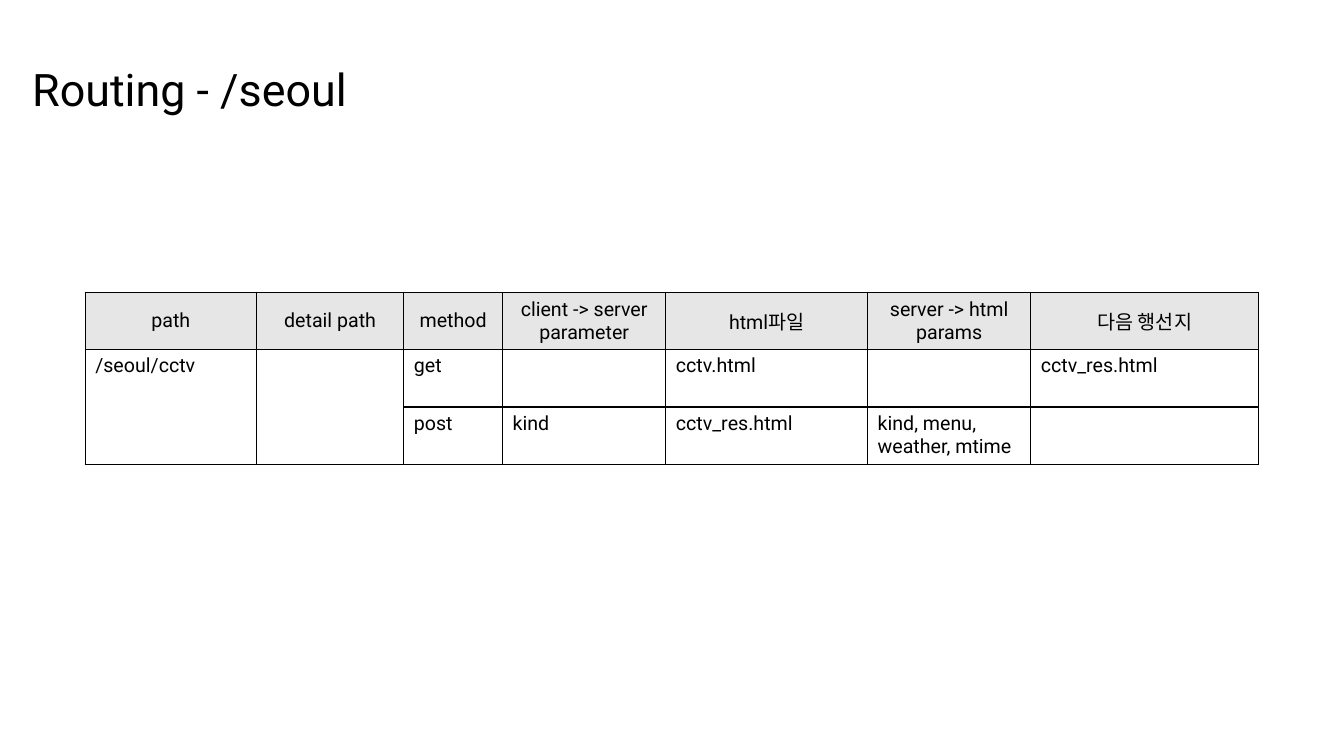
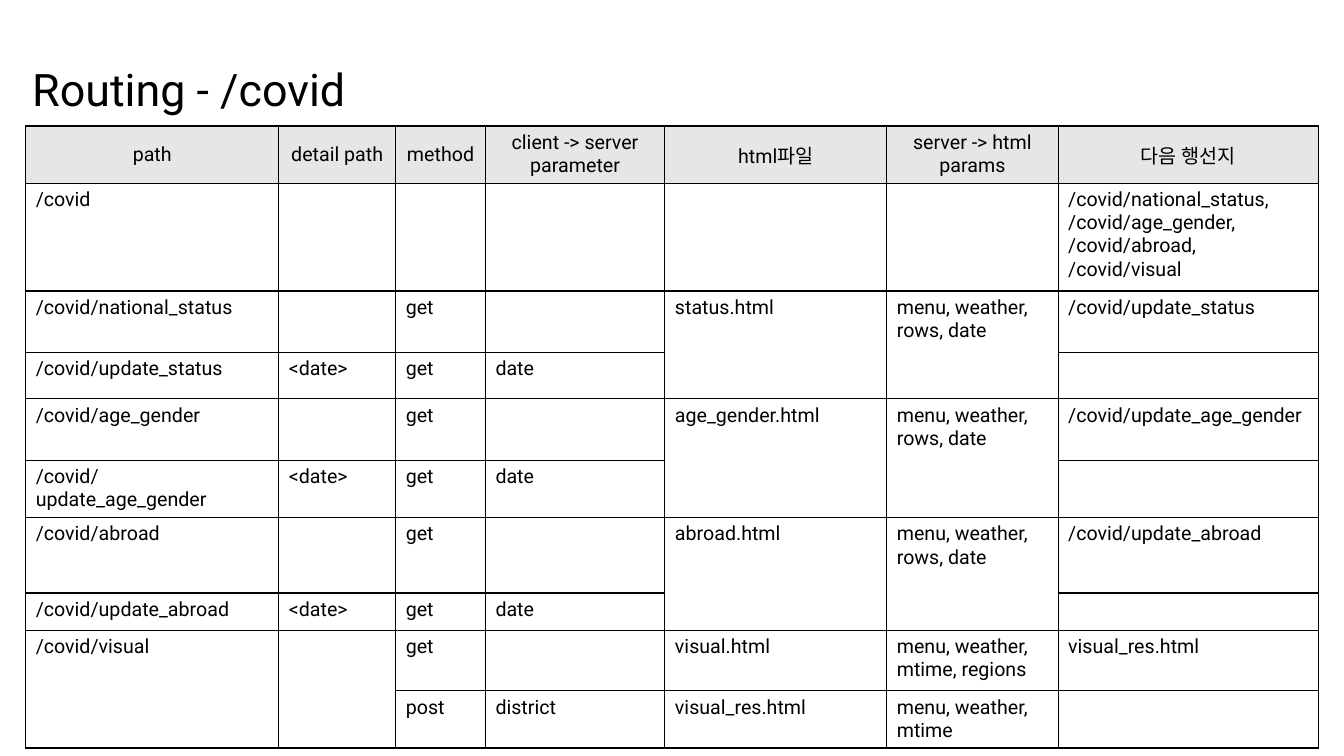
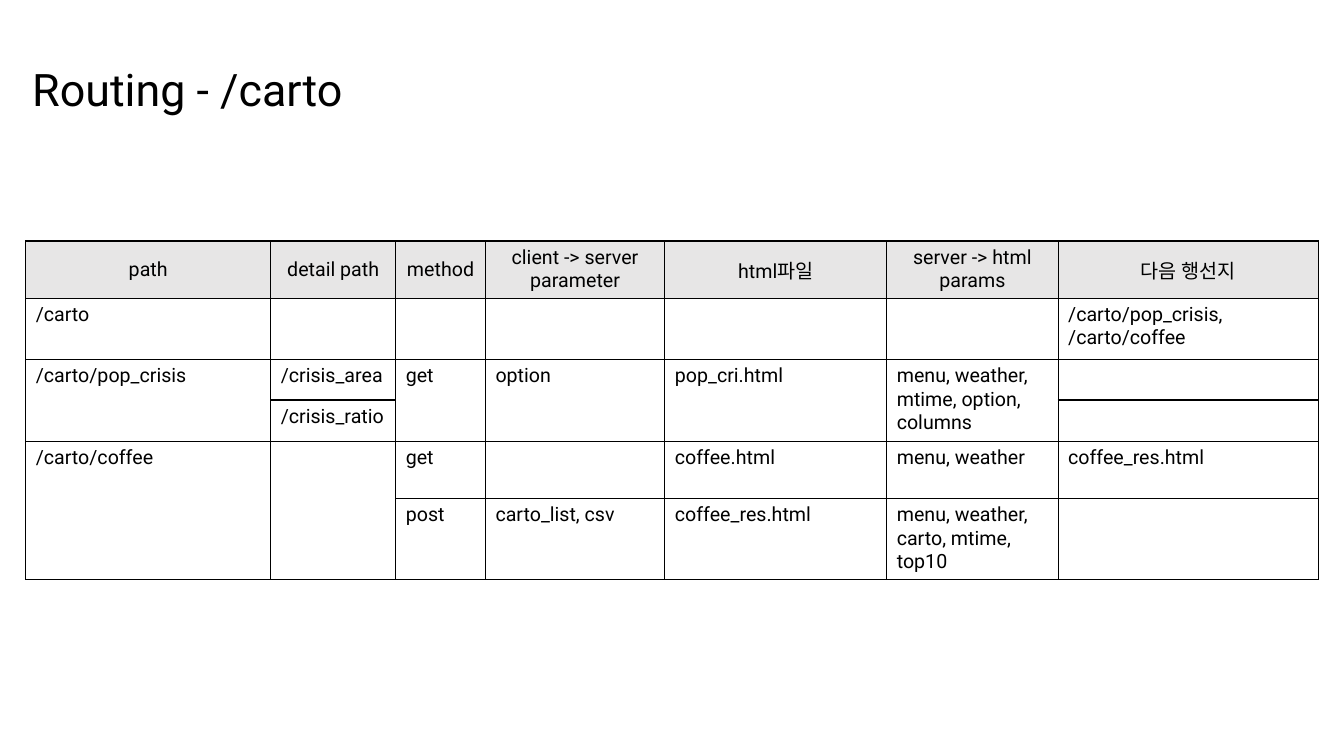
from dataclasses import dataclass

from lxml import etree
from pptx import Presentation
from pptx.dml.color import RGBColor
from pptx.enum.text import MSO_ANCHOR, PP_ALIGN
from pptx.oxml.ns import qn
from pptx.slide import Slide
from pptx.table import _Cell
from pptx.text.text import TextFrame
from pptx.util import Inches, Length, Pt

LEFT, CENTER = PP_ALIGN.LEFT, PP_ALIGN.CENTER
TOP, MIDDLE = MSO_ANCHOR.TOP, MSO_ANCHOR.MIDDLE

# The slide is a grid of 1333 by 750 units
WIDE, HIGH = 1333, 750
UP = None  # this cell joins the one above


@dataclass(frozen=True)
class Theme:
    font: str = "Roboto"
    ink: str = "000000"
    head: str = "E7E6E6"
    body: str = "FFFFFF"
    title: float = 32
    text: float = 14
    line: float = 1


@dataclass(frozen=True)
class Page:
    title: str
    top: int
    cols: tuple[int, ...]
    rows: tuple[int, ...]
    cells: list[tuple]


THEME = Theme()
HEAD = ("path", "detail path", "method", "client -> server parameter",
        "html파일", "server -> html\nparams", "다음 행선지")
BLANK = ("",) * 4


def unit(count: float) -> Length:
    return Inches(count / 100)


def write(frame: TextFrame, text: str, *, size: float = THEME.text,
          align: PP_ALIGN = LEFT, space: float | None = None) -> None:
    frame.word_wrap = True
    frame.text = text
    for par in frame.paragraphs:
        par.alignment = align
        par.line_spacing = space
        for run in par.runs:
            run.font.name = THEME.font
            run.font.size = Pt(size)
            run.font.color.rgb = RGBColor.from_string(THEME.ink)
        if not par.runs:  # keeps empty rows as low as filled ones
            etree.SubElement(par._p, qn("a:endParaRPr"), sz=str(int(size * 100)))


def frame_cell(cell: _Cell) -> None:
    props = cell._tc.get_or_add_tcPr()
    for spot, side in enumerate(("lnL", "lnR", "lnT", "lnB")):
        line = etree.Element(qn(f"a:{side}"), w=str(Pt(THEME.line)))
        fill = etree.SubElement(line, qn("a:solidFill"))
        etree.SubElement(fill, qn("a:srgbClr"), val=THEME.ink)
        props.insert(spot, line)


def add_title(slide: Slide, text: str) -> None:
    box = slide.shapes.add_textbox(0, unit(58), unit(474), unit(67))
    box.text_frame.margin_left = unit(32)
    box.text_frame.vertical_anchor = MIDDLE
    write(box.text_frame, text, size=THEME.title, space=0.9)


def add_grid(slide: Slide, page: Page) -> None:
    width = sum(page.cols)
    grid = slide.shapes.add_table(
        len(page.rows), len(page.cols), unit((WIDE - width) / 2),
        unit(page.top), unit(width), unit(sum(page.rows))).table
    grid.first_row = grid.horz_banding = False
    for col, size in zip(grid.columns, page.cols):
        col.width = unit(size)
    for row, size in zip(grid.rows, page.rows):
        row.height = unit(size)
    for y, texts in enumerate([HEAD, *page.cells]):
        top = y == 0
        for x, text in enumerate(texts):
            cell = grid.cell(y, x)
            cell.fill.solid()
            cell.fill.fore_color.rgb = RGBColor.from_string(
                THEME.head if top else THEME.body)
            cell.vertical_anchor = MIDDLE if top else TOP
            frame_cell(cell)
            write(cell.text_frame, text or "", align=CENTER if top else LEFT)
            if text is UP:
                grid.cell(y - 1, x).merge(cell)


def feed(view: str, key: str) -> list[tuple]:
    """Rows of a view and of the update that shares its page."""
    link = f"/covid/update_{key}"
    return [
        (f"/covid/{view}", "", "get", "", f"{key}.html",
         "menu, weather,\nrows, date", link),
        (link, "<date>", "get", "date", UP, UP, ""),
    ]


PAGES = (
    Page("Routing - /seoul", 290,
         (170, 146, 98, 162, 200, 162, 226), (46, 57, 57), [
             ("/seoul/cctv", "", "get", "", "cctv.html", "", "cctv_res.html"),
             (UP, UP, "post", "kind", "cctv_res.html",
              "kind, menu,\nweather, mtime", ""),
         ]),
    Page("Routing - /covid", 125,
         (251, 116, 89, 178, 220, 170, 258),
         (54, 107, 61, 46, 61, 44, 75, 37, 60, 48), [
             ("/covid", "", *BLANK,
              "/covid/national_status, /covid/age_gender,\n"
              "/covid/abroad, /covid/visual"),
             *feed("national_status", "status"),
             *feed("age_gender", "age_gender"),
             *feed("abroad", "abroad"),
             ("/covid/visual", "", "get", "", "visual.html",
              "menu, weather,\nmtime, regions", "visual_res.html"),
             (UP, UP, "post", "district", "visual_res.html",
              "menu, weather,\nmtime", ""),
         ]),
    Page("Routing - /carto", 239,
         (243, 124, 89, 178, 220, 170, 258), (54, 61, 40, 41, 57, 62), [
             ("/carto", "", *BLANK, "/carto/pop_crisis,\n/carto/coffee"),
             ("/carto/pop_crisis", "/crisis_area", "get", "option",
              "pop_cri.html", "menu, weather,\nmtime, option,\ncolumns", ""),
             (UP, "/crisis_ratio", UP, UP, UP, UP, ""),
             ("/carto/coffee", "", "get", "", "coffee.html",
              "menu, weather", "coffee_res.html"),
             (UP, UP, "post", "carto_list, csv", "coffee_res.html",
              "menu, weather,\ncarto, mtime,\ntop10", ""),
         ]),
)


def main() -> None:
    deck = Presentation()
    deck.slide_width, deck.slide_height = unit(WIDE), unit(HIGH)
    for page in PAGES:
        slide = deck.slides.add_slide(deck.slide_layouts[6])
        add_title(slide, page.title)
        add_grid(slide, page)
    deck.save("out.pptx")


if __name__ == "__main__":
    main()
